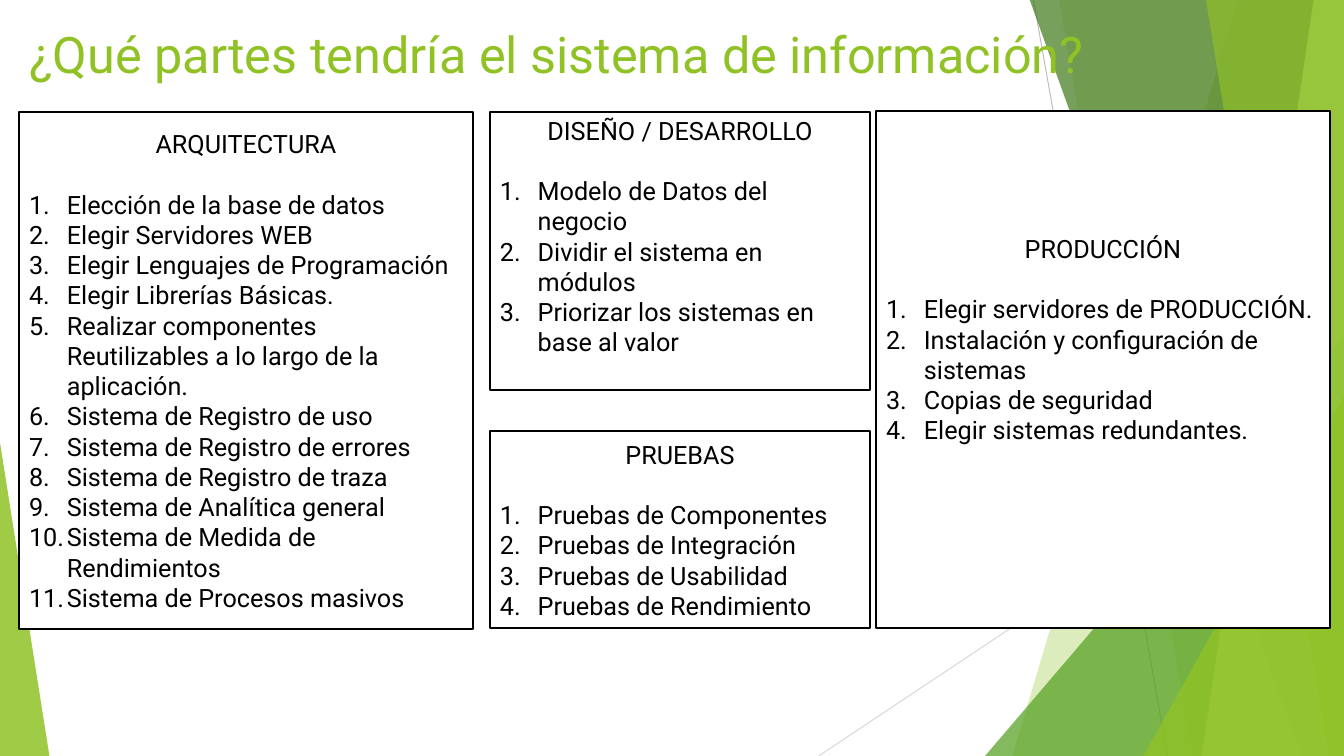
from dataclasses import dataclass

from lxml import etree
from pptx import Presentation
from pptx.dml.color import RGBColor
from pptx.enum.shapes import MSO_CONNECTOR, MSO_SHAPE
from pptx.enum.text import MSO_ANCHOR, PP_ALIGN
from pptx.oxml.ns import qn
from pptx.util import Inches, Pt

LIME = RGBColor(0x90, 0xC2, 0x26)
GREEN = RGBColor(0x54, 0xA0, 0x21)
FOREST = RGBColor(0x3F, 0x78, 0x19)
PALE_LIME = RGBColor(0xC0, 0xE4, 0x74)
GREY = RGBColor(0xBF, 0xBF, 0xBF)
LIGHT_GREY = RGBColor(0xD9, 0xD9, 0xD9)
BLACK = RGBColor(0, 0, 0)
WHITE = RGBColor(0xFF, 0xFF, 0xFF)

STRAIGHT = MSO_CONNECTOR.STRAIGHT
TRIANGLE = MSO_SHAPE.ISOSCELES_TRIANGLE
RECTANGLE = MSO_SHAPE.RECTANGLE
MIDDLE = MSO_ANCHOR.MIDDLE
LEFT, CENTER = PP_ALIGN.LEFT, PP_ALIGN.CENTER

FONT = "Roboto"
WIDTH, HEIGHT = 13.33, 7.5
TOP = -0.01
LINE_HEIGHT = 0.3
INDENT = 0.375


@dataclass
class Hairline:
    start: tuple[float, float]
    end: tuple[float, float]
    color: RGBColor


@dataclass
class Ribbon:
    """Slanted band that reaches the right edge of the slide."""
    top_x: float
    bottom_x: float
    color: RGBColor
    opacity: int


@dataclass
class Wedge:
    """Right triangle standing on the bottom of the slide."""
    left: float
    top: float
    width: float
    apex: float
    color: RGBColor
    opacity: int


@dataclass
class Panel:
    left: float
    top: float
    width: float
    height: float
    heading: str
    items: list[str]
    spare_lines: int = 0


HAIRLINES = [
    Hairline((10.25, 0), (11.58, HEIGHT), GREY),
    Hairline((WIDTH, 4.03), (8.12, HEIGHT), LIGHT_GREY),
]
FACETS = [
    Ribbon(12.28, 10.04, LIME, 30),
    Ribbon(10.5, 11.83, LIME, 20),
    Wedge(9.77, 3.33, 3.56, 1, GREEN, 72),
    Ribbon(10.21, 12.91, FOREST, 70),
    Ribbon(13.03, 11.92, PALE_LIME, 70),
    Ribbon(11.96, 13.18, LIME, 65),
    Wedge(11.34, 3.93, 1.99, 1, LIME, 80),
    Wedge(0, 4.39, 0.49, 0, LIME, 85),
]
PANELS = [
    Panel(0.19, 1.11, 4.5, 5.13, "ARQUITECTURA", [
        "Elección de la base de datos",
        "Elegir Servidores WEB",
        "Elegir Lenguajes de Programación",
        "Elegir Librerías Básicas.",
        "Realizar componentes Reutilizables a lo largo de la aplicación.",
        "Sistema de Registro de uso",
        "Sistema de Registro de errores",
        "Sistema de Registro de traza",
        "Sistema de Analítica general",
        "Sistema de Medida de Rendimientos",
        "Sistema de Procesos masivos",
    ]),
    Panel(4.86, 1.11, 3.77, 2.76, "DISEÑO / DESARROLLO", [
        "Modelo de Datos del negocio",
        "Dividir el sistema en módulos",
        "Priorizar los sistemas en base al valor",
    ], spare_lines=1),
    Panel(4.86, 4.28, 3.77, 1.95, "PRUEBAS", [
        "Pruebas de Componentes",
        "Pruebas de Integración",
        "Pruebas de Usabilidad",
        "Pruebas de Rendimiento",
    ]),
    Panel(8.69, 1.1, 4.5, 5.13, "PRODUCCIÓN", [
        "Elegir servidores de PRODUCCIÓN.",
        "Instalación y configuración de sistemas",
        "Copias de seguridad",
        "Elegir sistemas redundantes.",
    ], spare_lines=2),
]


def draw_hairline(page, hairline: Hairline) -> None:
    points = [Inches(value) for value in hairline.start + hairline.end]
    line = page.shapes.add_connector(STRAIGHT, *points)
    line.line.color.rgb = hairline.color
    line.line.width = Pt(0.75)
    etree.SubElement(line._element.spPr, qn("a:effectLst"))


def draw_facet(page, facet: Ribbon | Wedge) -> None:
    if isinstance(facet, Ribbon):
        builder = page.shapes.build_freeform(
            Inches(facet.top_x), Inches(TOP), scale=1.0)
        corners = [(WIDTH, TOP), (WIDTH, HEIGHT), (facet.bottom_x, HEIGHT)]
        builder.add_line_segments([(Inches(x), Inches(y)) for x, y in corners])
        shape = builder.convert_to_shape()
    else:
        shape = page.shapes.add_shape(
            TRIANGLE, Inches(facet.left), Inches(facet.top),
            Inches(facet.width), Inches(HEIGHT - facet.top))
        shape.adjustments[0] = facet.apex
    shape.shadow.inherit = False
    shape.line.fill.background()
    shape.fill.solid()
    shape.fill.fore_color.rgb = facet.color
    color = shape._element.spPr.find(qn("a:solidFill"))[0]
    etree.SubElement(color, qn("a:alpha"), val=str(facet.opacity * 1000))


def write(para, text: str, size: int, color: RGBColor, align) -> None:
    para.text = text
    para.alignment = align
    para.font.name = FONT
    para.font.size = Pt(size)
    para.font.color.rgb = color


def number(para) -> None:
    properties = para._p.get_or_add_pPr()
    properties.set("marL", str(Inches(INDENT)))
    properties.set("indent", str(-Inches(INDENT)))
    etree.SubElement(properties, qn("a:buFont"), typeface=FONT)
    etree.SubElement(properties, qn("a:buAutoNum"), type="arabicPeriod")
    # Bullet properties come before the default run properties
    properties.append(properties.find(qn("a:defRPr")))


def draw_panel(page, panel: Panel) -> None:
    box = page.shapes.add_shape(
        RECTANGLE, Inches(panel.left), Inches(panel.top),
        Inches(panel.width), Inches(panel.height))
    box.shadow.inherit = False
    box.fill.solid()
    box.fill.fore_color.rgb = WHITE
    box.line.color.rgb = BLACK
    box.line.width = Pt(1.5)
    frame = box.text_frame
    frame.word_wrap = True
    frame.vertical_anchor = MIDDLE
    frame.margin_top = 0
    frame.margin_bottom = Inches(panel.spare_lines * LINE_HEIGHT)
    heading = frame.paragraphs[0]
    write(heading, panel.heading, 18, BLACK, CENTER)
    heading.space_after = Inches(LINE_HEIGHT)
    for item in panel.items:
        para = frame.add_paragraph()
        write(para, item, 18, BLACK, LEFT)
        number(para)


def draw_title(page, text: str) -> None:
    box = page.shapes.add_textbox(
        Inches(0.19), Inches(0.18), Inches(13), Inches(0.7))
    box.text_frame.word_wrap = True
    box.text_frame.vertical_anchor = MIDDLE
    write(box.text_frame.paragraphs[0], text, 36, LIME, LEFT)


def main() -> None:
    deck = Presentation()
    deck.slide_width, deck.slide_height = Inches(WIDTH), Inches(HEIGHT)
    page = deck.slides.add_slide(deck.slide_layouts[6])

    # Backdrop
    for hairline in HAIRLINES:
        draw_hairline(page, hairline)
    for facet in FACETS:
        draw_facet(page, facet)

    # Content
    for panel in PANELS:
        draw_panel(page, panel)
    draw_title(page, "¿Qué partes tendría el sistema de información?")
    deck.save("out.pptx")


if __name__ == "__main__":
    main()
